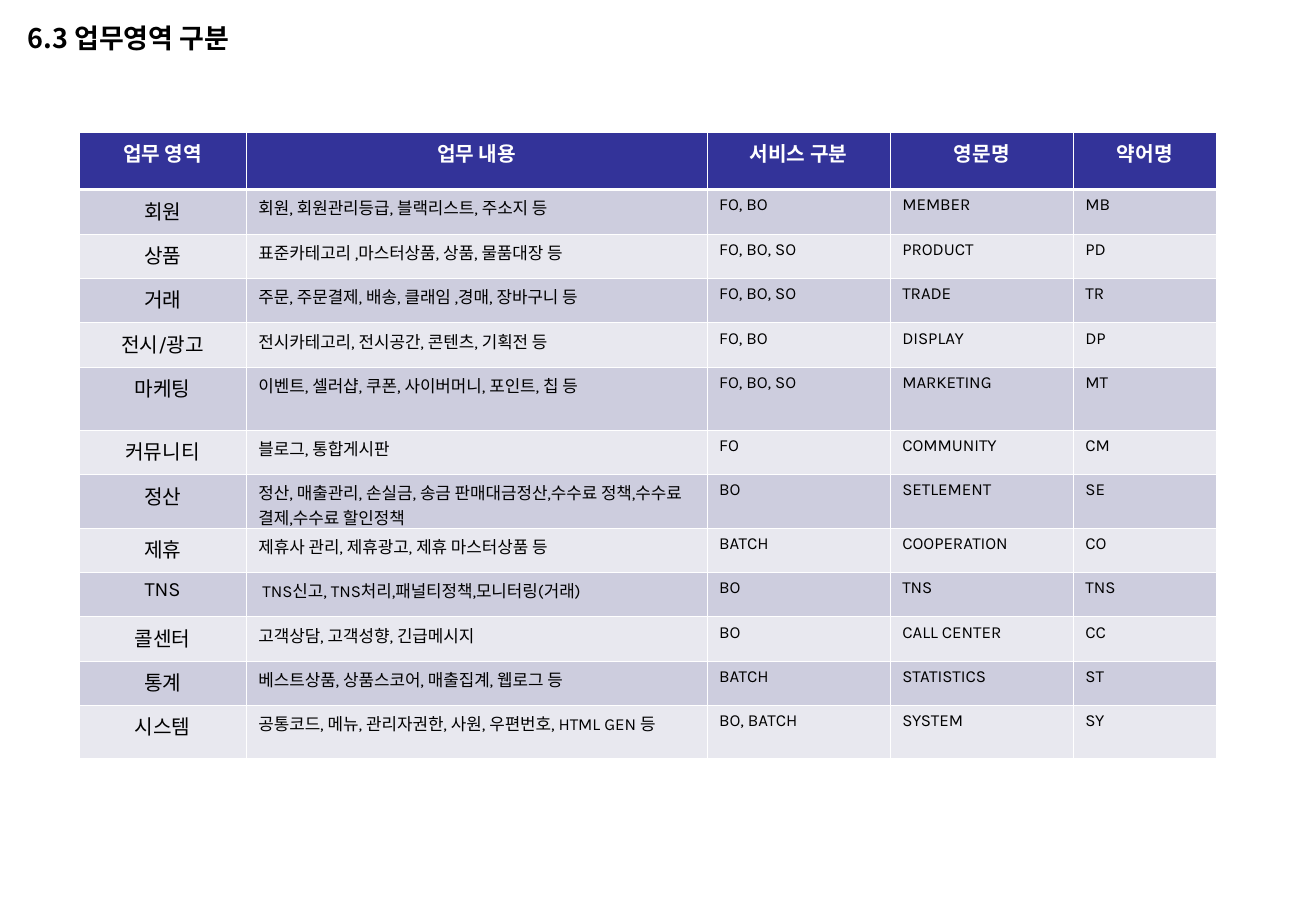
from pptx import Presentation
from pptx import util as u
from pptx.dml.color import RGBColor
from pptx.enum import text as t
from pptx.oxml import parse_xml
from pptx.oxml.ns import nsdecls

COLORS = {"head": "333399", "dark": "CDCDDE", "light": "E8E8EF",
          "ink": "000000", "white": "FFFFFF"}
HANGUL = "Noto Sans CJK KR"
LATIN = "Karla"
WIDE, HIGH = 10.84, 7.5

HEADS = ["업무 영역", "업무 내용", "서비스 구분", "영문명", "약어명"]
AREAS = [
    ["회원", "회원, 회원관리등급, 블랙리스트, 주소지 등", "FO, BO", "MEMBER", "MB"],
    ["상품", "표준카테고리 ,마스터상품, 상품, 물품대장 등", "FO, BO, SO", "PRODUCT", "PD"],
    ["거래", "주문, 주문결제, 배송, 클래임 ,경매, 장바구니 등", "FO, BO, SO", "TRADE", "TR"],
    ["전시/광고", "전시카테고리, 전시공간, 콘텐츠, 기획전 등", "FO, BO", "DISPLAY", "DP"],
    ["마케팅", "이벤트, 셀러샵, 쿠폰, 사이버머니, 포인트, 칩 등", "FO, BO, SO", "MARKETING", "MT"],
    ["커뮤니티", "블로그, 통합게시판", "FO", "COMMUNITY", "CM"],
    ["정산", "정산, 매출관리, 손실금, 송금 판매대금정산,수수료 정책,수수료 결제,수수료 할인정책",
     "BO", "SETLEMENT", "SE"],
    ["제휴", "제휴사 관리, 제휴광고, 제휴 마스터상품 등", "BATCH", "COOPERATION", "CO"],
    ["TNS", " TNS신고, TNS처리,패널티정책,모니터링(거래)", "BO", "TNS", "TNS"],
    ["콜센터", "고객상담, 고객성향, 긴급메시지", "BO", "CALL CENTER", "CC"],
    ["통계", "베스트상품, 상품스코어, 매출집계, 웹로그 등", "BATCH", "STATISTICS", "ST"],
    ["시스템", "공통코드, 메뉴, 관리자권한, 사원, 우편번호, HTML GEN 등",
     "BO, BATCH", "SYSTEM", "SY"],
]
COLS = [1.38, 3.8, 1.51, 1.51, 1.18]
TALL = {0: 0.47, 5: 0.52, 7: 0.44, 12: 0.44}  # rows with their own height


def write(frame, words, size=10, color="ink", bold=False, font=LATIN, center=False):
    frame.word_wrap = True
    para = frame.paragraphs[0]
    para.alignment = t.PP_ALIGN.CENTER if center else t.PP_ALIGN.LEFT
    run = para.add_run()
    run.text = words
    run.font.size = u.Pt(size)
    run.font.bold = bold
    run.font.color.rgb = RGBColor.from_string(COLORS[color])
    run.font.name = font
    run._r.get_or_add_rPr().append(
        parse_xml(f'<a:ea {nsdecls("a")} typeface="{HANGUL}"/>'))


def edge(cell, side, width):
    cell._tc.get_or_add_tcPr().append(parse_xml(
        f'<a:ln{side} {nsdecls("a")} w="{u.Pt(width)}"><a:solidFill>'
        f'<a:srgbClr val="{COLORS["white"]}"/></a:solidFill></a:ln{side}>'))


def title(slide, box, words):
    shape = slide.shapes.add_textbox(*map(u.Inches, box))
    write(shape.text_frame, words, size=16, bold=True, font=HANGUL)


def grid(slide, box, rows):
    frame = slide.shapes.add_table(len(rows), len(COLS), *map(u.Inches, box))
    table = frame.table

    # Column widths and row heights share out the box
    for col, part in zip(table.columns, COLS):
        col.width = u.Inches(box[2] * part / sum(COLS))
    plain = (box[3] - sum(TALL.values())) / (len(rows) - len(TALL))
    for r, row in enumerate(table.rows):
        row.height = u.Inches(TALL.get(r, plain))

    # Header, then alternating bands
    for r, row in enumerate(rows):
        head = r == 0
        fill = "head" if head else ("light", "dark")[r % 2]
        for c, words in enumerate(row):
            cell = table.cell(r, c)
            for side in "LRTB":
                thick = (r, side) in ((0, "B"), (1, "T"))
                edge(cell, side, 1.47 if thick else 0.45)
            cell.fill.solid()
            cell.fill.fore_color.rgb = RGBColor.from_string(COLORS[fill])
            big = head or c == 0
            write(cell.text_frame, words, size=12 if big else 10, bold=head,
                  color="white" if head else "ink", center=big)


def main():
    deck = Presentation()
    deck.slide_width, deck.slide_height = u.Inches(WIDE), u.Inches(HIGH)
    slide = deck.slides.add_slide(deck.slide_layouts[6])
    title(slide, (0.13, 0.13, 6.31, 0.37), "6.3 업무영역 구분")
    grid(slide, (0.06 * WIDE, 1.09, 9.37, 5.16), [HEADS] + AREAS)
    deck.save("out.pptx")


if __name__ == "__main__":
    main()
